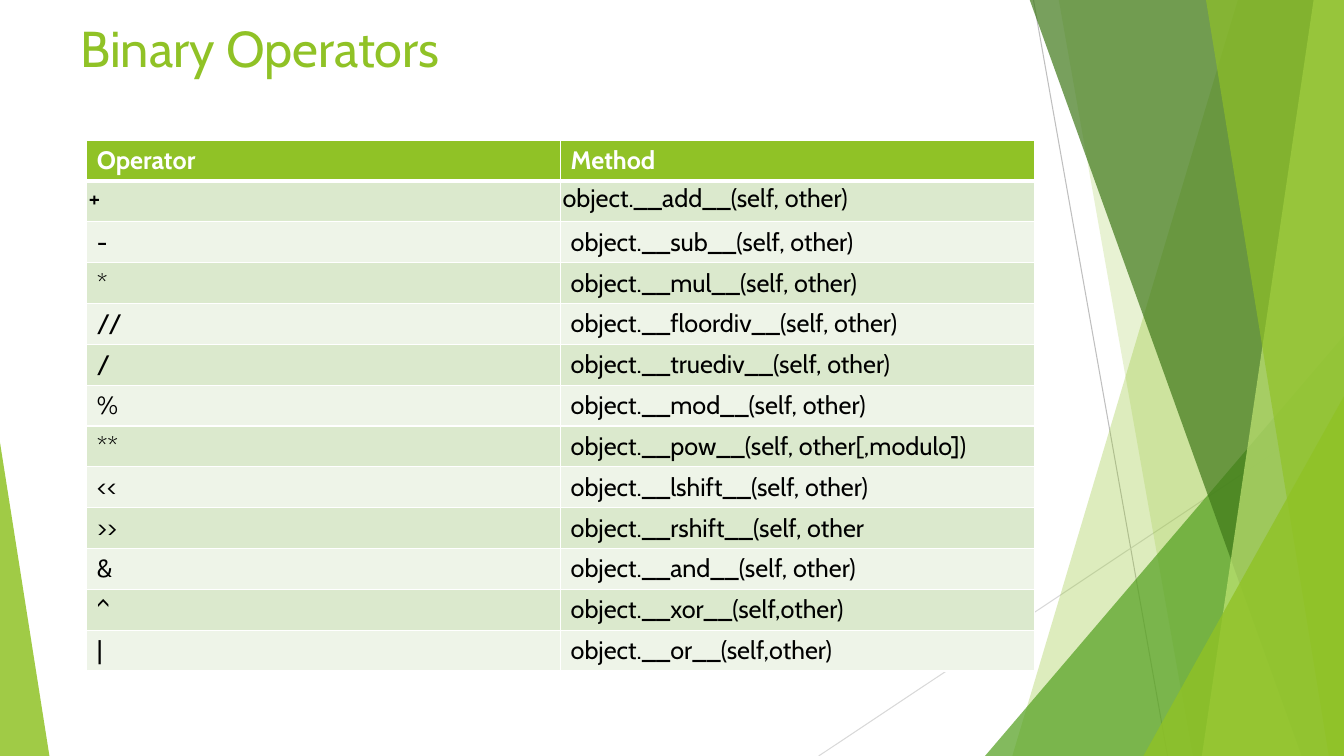
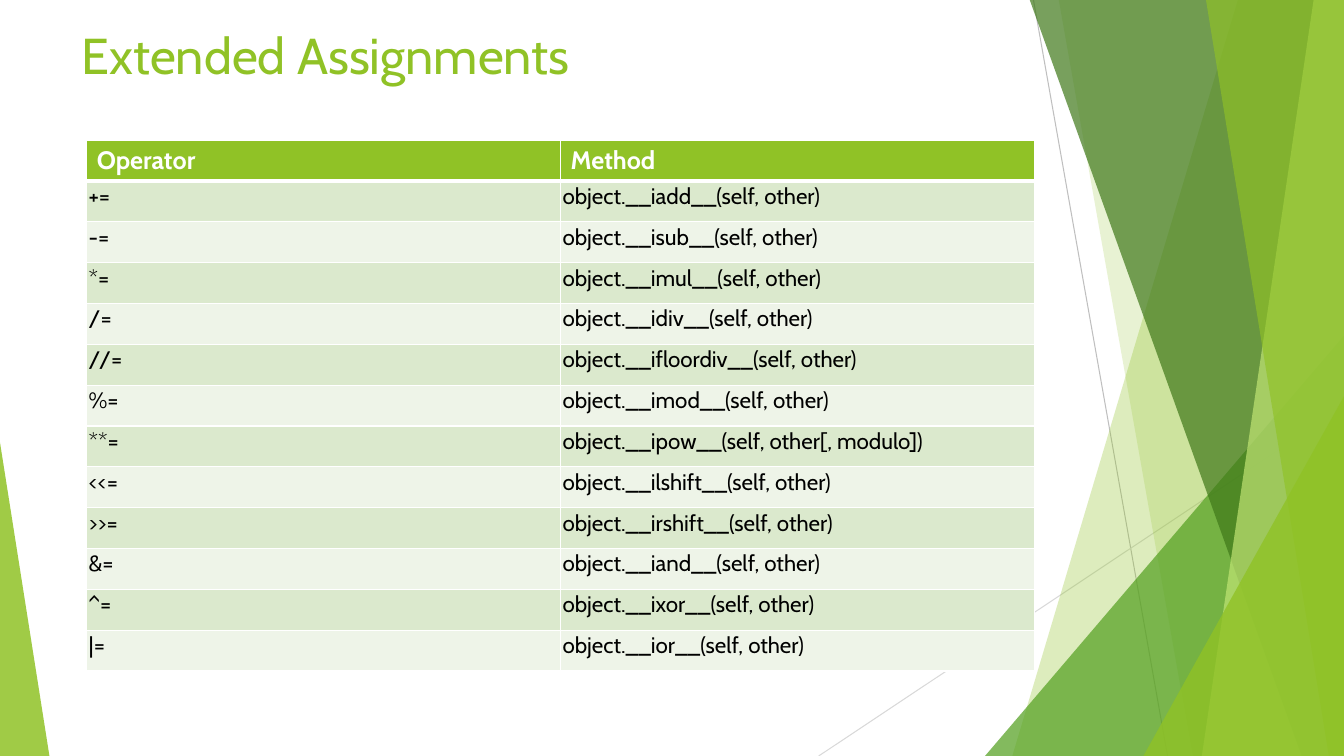
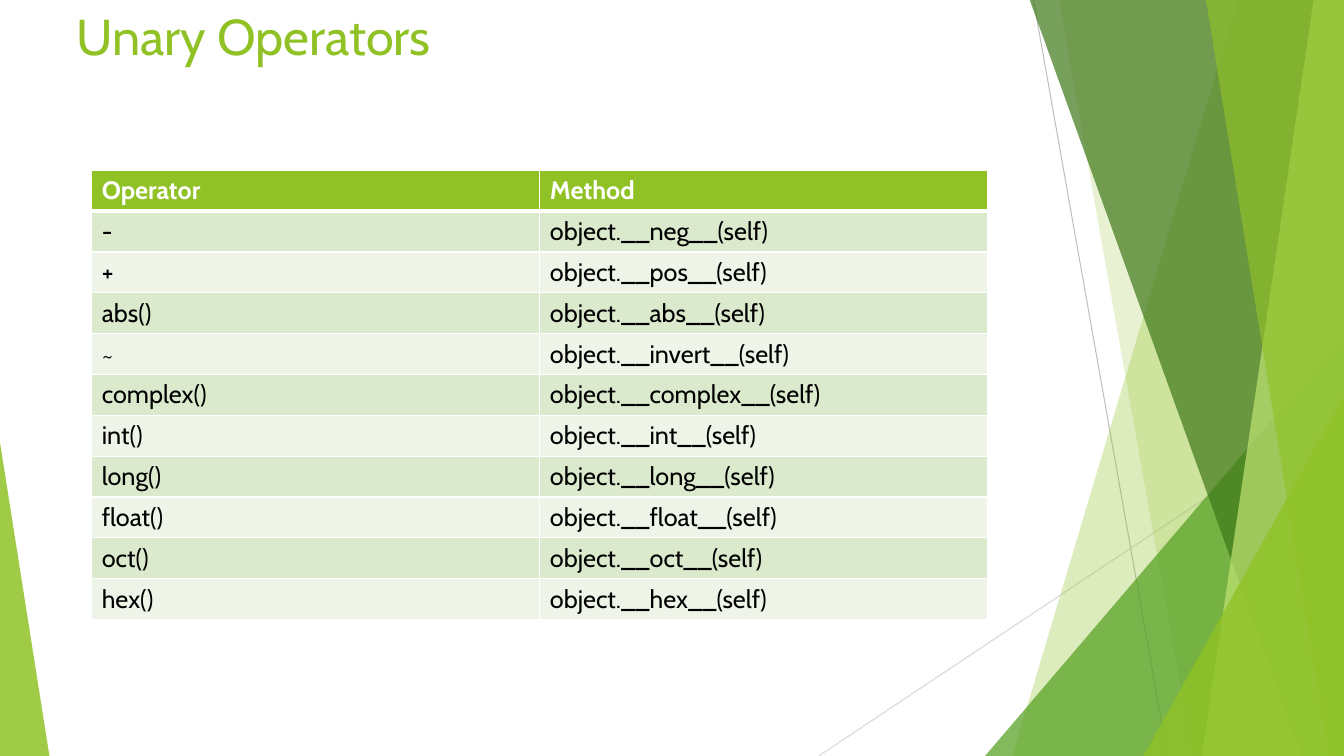
from lxml import etree
from pptx import Presentation
from pptx.dml.color import RGBColor
from pptx.enum.shapes import MSO_CONNECTOR, MSO_SHAPE
from pptx.enum.text import MSO_ANCHOR
from pptx.oxml.ns import qn
from pptx.util import Inches, Pt

STRAIGHT = MSO_CONNECTOR.STRAIGHT
TRIANGLE = MSO_SHAPE.ISOSCELES_TRIANGLE
TOP = MSO_ANCHOR.TOP

FONT = "Cabin"
WIDTH, HEIGHT = 13.33, 7.5
BLEED = -0.01
COLORS = {
    "lime": "90C226",
    "green": "54A021",
    "forest": "3F7819",
    "pale": "C0E474",
    "gray": "BFBFBF",
    "silver": "D9D9D9",
    "white": "FFFFFF",
    "black": "000000",
    "band_dark": "DBE9CD",
    "band_light": "EEF4E8",
}

RAYS = [
    (10.25, 0, 11.58, HEIGHT, "gray"),
    (WIDTH, 4.03, 8.12, HEIGHT, "silver"),
]
FACETS = [
    ("panel", (12.28, 10.04), "lime", 30),
    ("panel", (10.5, 11.83), "lime", 20),
    ("triangle", (9.77, 3.33, 3.56, 1), "green", 72),
    ("panel", (10.21, 12.91), "forest", 70),
    ("panel", (13.03, 11.92), "pale", 70),
    ("panel", (11.96, 13.18), "lime", 65),
    ("triangle", (11.34, 3.93, 1.99, 1), "lime", 80),
    ("triangle", (0, 4.39, 0.49, 0), "lime", 85),
]

SLIDES = [
    {
        "title": "Binary Operators",
        "title_box": (0.7, 0.12, 9.4, 0.83),
        "table_box": (0.86, 1.39, 9.4, 5.27),
        "size": 18,
        "tight_rows": 1,
        "rows": [
            ("+", "object.__add__(self, other)"),
            ("-", "object.__sub__(self, other)"),
            ("*", "object.__mul__(self, other)"),
            ("//", "object.__floordiv__(self, other)"),
            ("/", "object.__truediv__(self, other)"),
            ("%", "object.__mod__(self, other)"),
            ("**", "object.__pow__(self, other[,modulo])"),
            ("<<", "object.__lshift__(self, other)"),
            (">>", "object.__rshift__(self, other"),
            ("&", "object.__and__(self, other)"),
            ("^", "object.__xor__(self,other)"),
            ("|", "object.__or__(self,other)"),
        ],
    },
    {
        "title": "Extended Assignments",
        "title_box": (0.71, 0.19, 9.4, 0.92),
        "table_box": (0.86, 1.39, 9.4, 5.27),
        "size": 16,
        "tight_rows": 12,
        "rows": [
            ("+=", "object.__iadd__(self, other)"),
            ("-=", "object.__isub__(self, other)"),
            ("*=", "object.__imul__(self, other)"),
            ("/=", "object.__idiv__(self, other)"),
            ("//=", "object.__ifloordiv__(self, other)"),
            ("%=", "object.__imod__(self, other)"),
            ("**=", "object.__ipow__(self, other[, modulo])"),
            ("<<=", "object.__ilshift__(self, other)"),
            (">>=", "object.__irshift__(self, other)"),
            ("&=", "object.__iand__(self, other)"),
            ("^=", "object.__ixor__(self, other)"),
            ("|=", "object.__ior__(self, other)"),
        ],
    },
    {
        "title": "Unary Operators",
        "title_box": (0.66, 0, 9.4, 0.98),
        "table_box": (0.91, 1.69, 8.89, 4.46),
        "size": 18,
        "tight_rows": 0,
        "rows": [
            ("-", "object.__neg__(self)"),
            ("+", "object.__pos__(self)"),
            ("abs()", "object.__abs__(self)"),
            ("~", "object.__invert__(self)"),
            ("complex()", "object.__complex__(self)"),
            ("int()", "object.__int__(self)"),
            ("long()", "object.__long__(self)"),
            ("float()", "object.__float__(self)"),
            ("oct()", "object.__oct__(self)"),
            ("hex()", "object.__hex__(self)"),
        ],
    },
]


def write(frame, text, size=18, color="black", bold=False):
    frame.word_wrap = True
    span = frame.paragraphs[0].add_run()
    span.text = text
    span.font.name = FONT
    span.font.size = Pt(size)
    span.font.bold = bold
    span.font.color.rgb = RGBColor.from_string(COLORS[color])


def set_borders(cell, **widths):
    properties = cell._tc.get_or_add_tcPr()
    for position, side in enumerate("LRTB"):
        border = etree.Element(qn(f"a:ln{side}"), w=str(Pt(widths.get(side, 1))))
        fill = etree.SubElement(border, qn("a:solidFill"))
        etree.SubElement(fill, qn("a:srgbClr"), val=COLORS["white"])
        properties.insert(position, border)


deck = Presentation()
deck.slide_width = Inches(WIDTH)
deck.slide_height = Inches(HEIGHT)
layout = deck.slide_layouts[6]
for placeholder in list(layout.placeholders):
    layout.shapes.element.remove(placeholder.element)
pages = [deck.slides.add_slide(layout) for _ in SLIDES]

canvas = pages[0].shapes
for *ends, color in RAYS:
    ray = canvas.add_connector(STRAIGHT, *map(Inches, ends))
    ray.line.color.rgb = RGBColor.from_string(COLORS[color])
    ray.line.width = Pt(0.75)
    etree.SubElement(ray.element.spPr, qn("a:effectLst"))

for kind, geometry, color, opacity in FACETS:
    if kind == "panel":
        top_x, bottom_x = geometry
        outline = canvas.build_freeform(Inches(top_x), Inches(BLEED))
        corners = [(WIDTH, BLEED), (WIDTH, HEIGHT), (bottom_x, HEIGHT)]
        outline.add_line_segments([(Inches(x), Inches(y)) for x, y in corners])
        facet = outline.convert_to_shape()
    else:
        left, top, width, tip = geometry
        box = map(Inches, (left, top, width, HEIGHT - top))
        facet = canvas.add_shape(TRIANGLE, *box)
        facet.adjustments[0] = tip
    facet.shadow.inherit = False
    facet.line.fill.background()
    facet.fill.solid()
    facet.fill.fore_color.rgb = RGBColor.from_string(COLORS[color])
    tint = facet.element.spPr.find(qn("a:solidFill")).find(qn("a:srgbClr"))
    etree.SubElement(tint, qn("a:alpha"), val=str(opacity * 1000))

for shape in list(canvas):
    layout.shapes.element.append(shape.element)

for page, content in zip(pages, SLIDES):
    title = page.shapes.add_textbox(*map(Inches, content["title_box"]))
    title.text_frame.vertical_anchor = TOP
    write(title.text_frame, content["title"], size=36, color="lime")

    rows = [("Operator", "Method")] + content["rows"]
    box = map(Inches, content["table_box"])
    table = page.shapes.add_table(len(rows), 2, *box).table
    for row_index, row in enumerate(rows):
        header = row_index == 0
        band = "lime" if header else ("band_light", "band_dark")[row_index % 2]
        for column_index, text in enumerate(row):
            cell = table.cell(row_index, column_index)
            cell.fill.solid()
            cell.fill.fore_color.rgb = RGBColor.from_string(COLORS[band])
            if 1 <= row_index <= content["tight_rows"]:
                cell.margin_left = cell.margin_right = Inches(0.02)
                cell.margin_top = cell.margin_bottom = Inches(0.02)
            if header:
                write(cell.text_frame, text, color="white", bold=True)
                set_borders(cell, B=3)
            else:
                write(cell.text_frame, text, size=content["size"])
                set_borders(cell, T=3 if row_index == 1 else 1)

deck.save("out.pptx")
